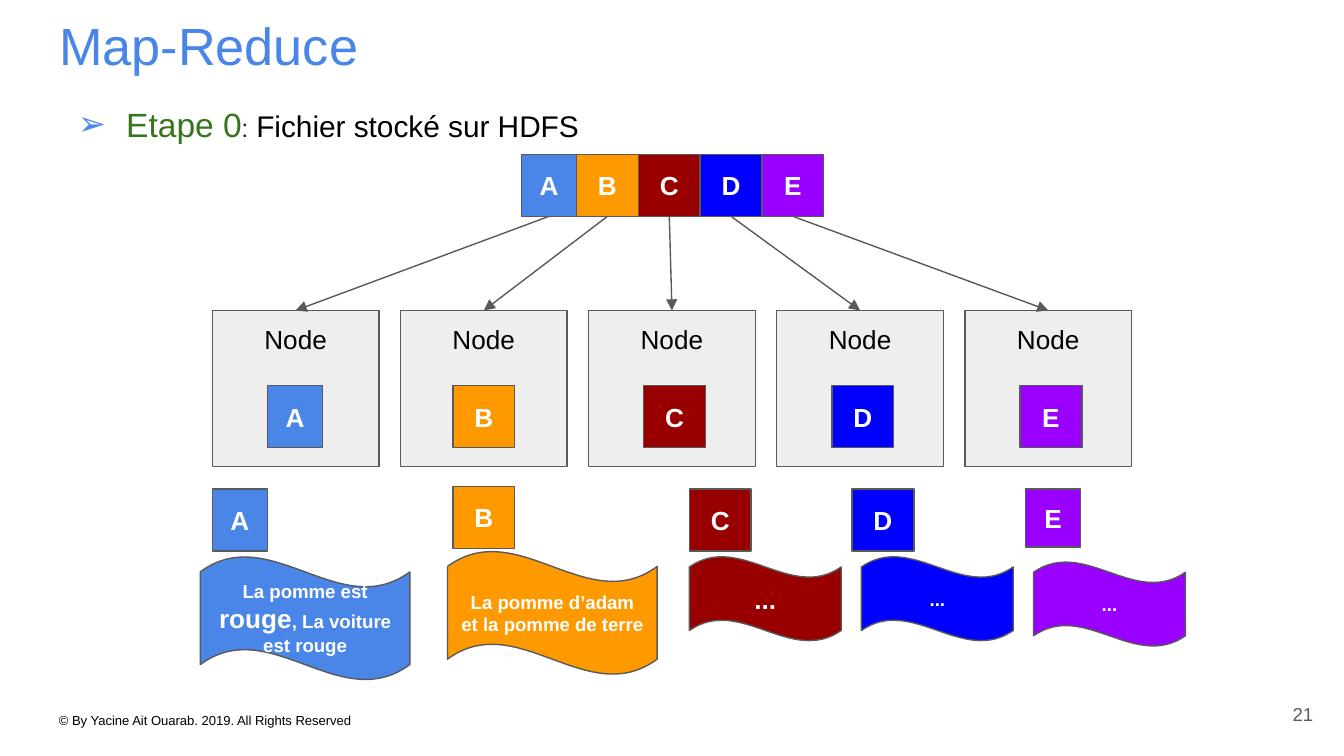
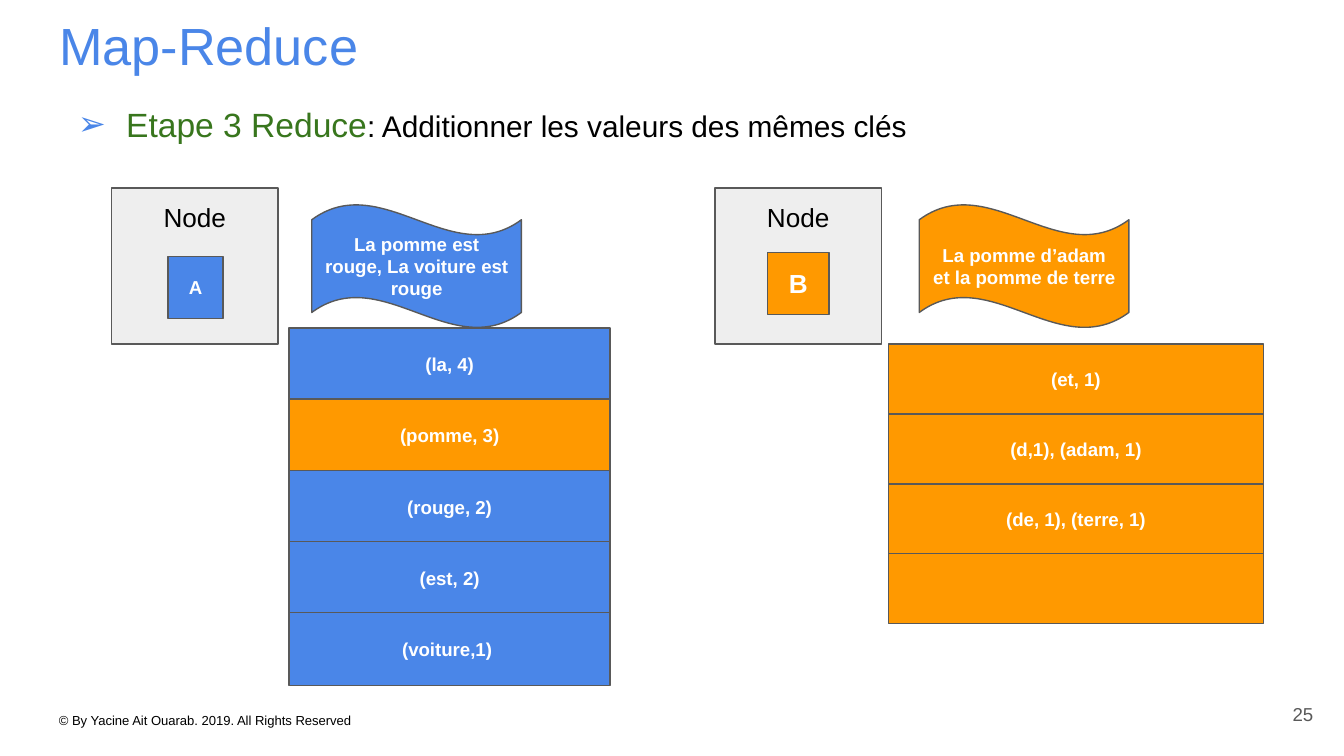
from lxml.etree import SubElement, fromstring
from pptx import Presentation
from pptx.dml.color import RGBColor
from pptx.enum.shapes import MSO_CONNECTOR, MSO_SHAPE
from pptx.enum.text import MSO_ANCHOR, MSO_AUTO_SIZE, PP_ALIGN
from pptx.oxml.ns import nsdecls, qn
from pptx.util import Inches, Pt

COLORS = {
    "A": "4A86E8", "B": "FF9900", "C": "980000", "D": "0000FF", "E": "9900FF",
    "step": "38761D", "colon": "252525", "black": "000000", "white": "FFFFFF",
    "node": "EEEEEE", "outline": "595959",
}


def write(shape, runs, size, color, bold=False, align=PP_ALIGN.LEFT, anchor=MSO_ANCHOR.TOP):
    frame = shape.text_frame
    frame.word_wrap = True
    frame.auto_size = MSO_AUTO_SIZE.NONE
    frame.vertical_anchor = anchor
    frame.margin_left = frame.margin_right = Inches(0.1)
    frame.margin_top = frame.margin_bottom = Inches(0.1)
    paragraph = frame.paragraphs[0]
    paragraph.alignment = align
    paragraph.font.size = Pt(size)
    paragraph.font.name = "Arial"
    paragraph.font.bold = bold
    paragraph.font.color.rgb = RGBColor.from_string(COLORS[color])
    for text, *style in runs:
        run = paragraph.add_run()
        run.text = text
        if style:
            run_size, run_color, run_font = style
            run.font.size = Pt(run_size)
            run.font.name = run_font
            run.font.color.rgb = RGBColor.from_string(COLORS[run_color])
    return paragraph


def draw(slide, preset, place, fill, runs, size=14, color="white", bold=True, anchor=MSO_ANCHOR.MIDDLE):
    shape = slide.shapes.add_shape(preset, *map(Inches, place))
    shape.shadow.inherit = False
    shape.fill.solid()
    shape.fill.fore_color.rgb = RGBColor.from_string(COLORS[fill])
    shape.line.color.rgb = RGBColor.from_string(COLORS["outline"])
    shape.line.width = Pt(0.75)
    if runs:
        write(shape, runs, size, color, bold, PP_ALIGN.CENTER, anchor)
    return shape


prs = Presentation()
prs.slide_width = Inches(10)
prs.slide_height = prs.slide_width * 9 // 16

steps = [
    ("21", [("Etape 0", 18, "step", "Arial"), (":", 13.5, "colon", "Roboto"),
            (" Fichier stocké sur HDFS", 16, "black", "Arial")]),
    ("25", [("Etape 3 Reduce", 18, "step", "Arial"),
            (": Additionner les valeurs des mêmes clés", 16, "black", "Arial")]),
]
slides = []
for number, heading in steps:
    slide = prs.slides.add_slide(prs.slide_layouts[5])
    slides.append(slide)
    title = slide.shapes.title
    title.left, title.top, title.width, title.height = map(Inches, (0.34, 0, 9.32, 0.63))
    write(title, [("Map-Reduce",)], 28, "A")

    step = slide.shapes.add_textbox(*map(Inches, (0.34, 0.63, 9.32, 4.47)))
    step_line = write(step, heading, 18, "step")
    step_line.line_spacing = 1.15
    properties = step_line._p.get_or_add_pPr()
    properties.set("marL", str(Inches(0.5)))
    properties.set("indent", str(Inches(-0.36)))
    bullet_color = f'<a:buClr {nsdecls("a")}><a:srgbClr val="{COLORS["A"]}"/></a:buClr>'
    bullet_font = f'<a:buFont {nsdecls("a")} typeface="Arial"/>'
    bullet_char = f'<a:buChar {nsdecls("a")} char="➢"/>'
    for position, xml in enumerate((bullet_color, bullet_font, bullet_char), 1):
        properties.insert(position, fromstring(xml))

    copyright_line = slide.shapes.add_textbox(*map(Inches, (0.34, 5.2, 9.32, 0.24)))
    write(copyright_line, [("© By Yacine Ait Ouarab. 2019. All Rights Reserved",)], 7, "black")
    page = slide.shapes.add_textbox(*map(Inches, (9.27, 5.1, 0.6, 0.43)))
    write(page, [(number,)], 10, "outline", align=PP_ALIGN.RIGHT, anchor=MSO_ANCHOR.MIDDLE)

storage, reduction = slides
apple_b = [("La pomme d’adam et la pomme de terre",)]
apple_a = [("La pomme est ",), ("rouge", 14, "white", "Arial"), (", La voiture est rouge",)]
dots = [("...",)]

partitions = [
    ("A", 0.41, 1.99, (1.58, 3.64, 0.41, 0.46), (1.49, 4.14, 1.56, 0.92), apple_a, 10),
    ("B", 0.46, 3.37, (3.37, 3.62, 0.46, 0.46), (3.33, 4.1, 1.56, 0.92), apple_b, 10),
    ("C", 0.46, 4.79, (5.13, 3.64, 0.46, 0.46), (5.13, 4.14, 1.13, 0.63), dots, 14),
    ("D", 0.46, 6.19, (6.34, 3.64, 0.46, 0.46), (6.41, 4.14, 1.13, 0.63), dots, 10),
    ("E", 0.46, 7.59, (7.63, 3.64, 0.41, 0.43), (7.69, 4.18, 1.13, 0.63), dots, 10),
]
file_left = 3.88
for index, (letter, width, stored_left, label, wave, content, size) in enumerate(partitions):
    draw(storage, MSO_SHAPE.RECTANGLE, label, letter, [(letter,)])
    draw(storage, MSO_SHAPE.WAVE, wave, letter, content, size)
    file_part = draw(storage, MSO_SHAPE.RECTANGLE, (file_left, 1.15, width, 0.46), letter, [(letter,)])
    node = draw(storage, MSO_SHAPE.RECTANGLE, (1.58 + 1.4 * index, 2.31, 1.24, 1.16), "node",
                [("Node",)], 14, "black", False, MSO_ANCHOR.TOP)
    draw(storage, MSO_SHAPE.RECTANGLE, (stored_left, 2.87, width, 0.46), letter, [(letter,)])
    arrow = storage.shapes.add_connector(MSO_CONNECTOR.STRAIGHT, 0, 0, 0, 0)
    arrow.begin_connect(file_part, 2)
    arrow.end_connect(node, 0)
    arrow.line.color.rgb = RGBColor.from_string(COLORS["outline"])
    arrow.line.width = Pt(0.75)
    arrow_properties = arrow._element.spPr
    SubElement(arrow_properties.find(qn("a:ln")), qn("a:tailEnd"), type="triangle")
    SubElement(arrow_properties, qn("a:effectLst"))
    file_left += width

reducers = [
    ("A", 0.83, (1.25, 1.91, 0.41, 0.46), 10, 2.32, [("La pomme est rouge, La voiture est rouge",)],
     (2.15, 2.44, 2.39, 0.54), 0.53,
     [("(la, 4)", "A"), ("(pomme, 3)", "B"), ("(rouge, 2)", "A"), ("(est, 2)", "A"), ("(voiture,1) ", "A")]),
    ("B", 5.32, (5.71, 1.88, 0.46, 0.46), 14, 6.84, apple_b,
     (6.61, 2.56, 2.79, 0.52), 0.52,
     [("(et, 1)", "B"), ("(d,1), (adam, 1)", "B"), ("(de, 1), (terre, 1)", "B"), ("", "B")]),
]
for letter, node_left, block, size, wave_left, content, first_pair, pitch, pairs in reducers:
    draw(reduction, MSO_SHAPE.WAVE, (wave_left, 1.52, 1.56, 0.92), letter, content, 10)
    draw(reduction, MSO_SHAPE.RECTANGLE, (node_left, 1.4, 1.24, 1.16), "node",
         [("Node",)], 14, "black", False, MSO_ANCHOR.TOP)
    draw(reduction, MSO_SHAPE.RECTANGLE, block, letter, [(letter,)], size)
    left, top, width, height = first_pair
    for row, (pair, fill) in enumerate(pairs):
        draw(reduction, MSO_SHAPE.RECTANGLE, (left, top + pitch * row, width, height), fill,
             [(pair,)] if pair else [], 10)

prs.save("out.pptx")
